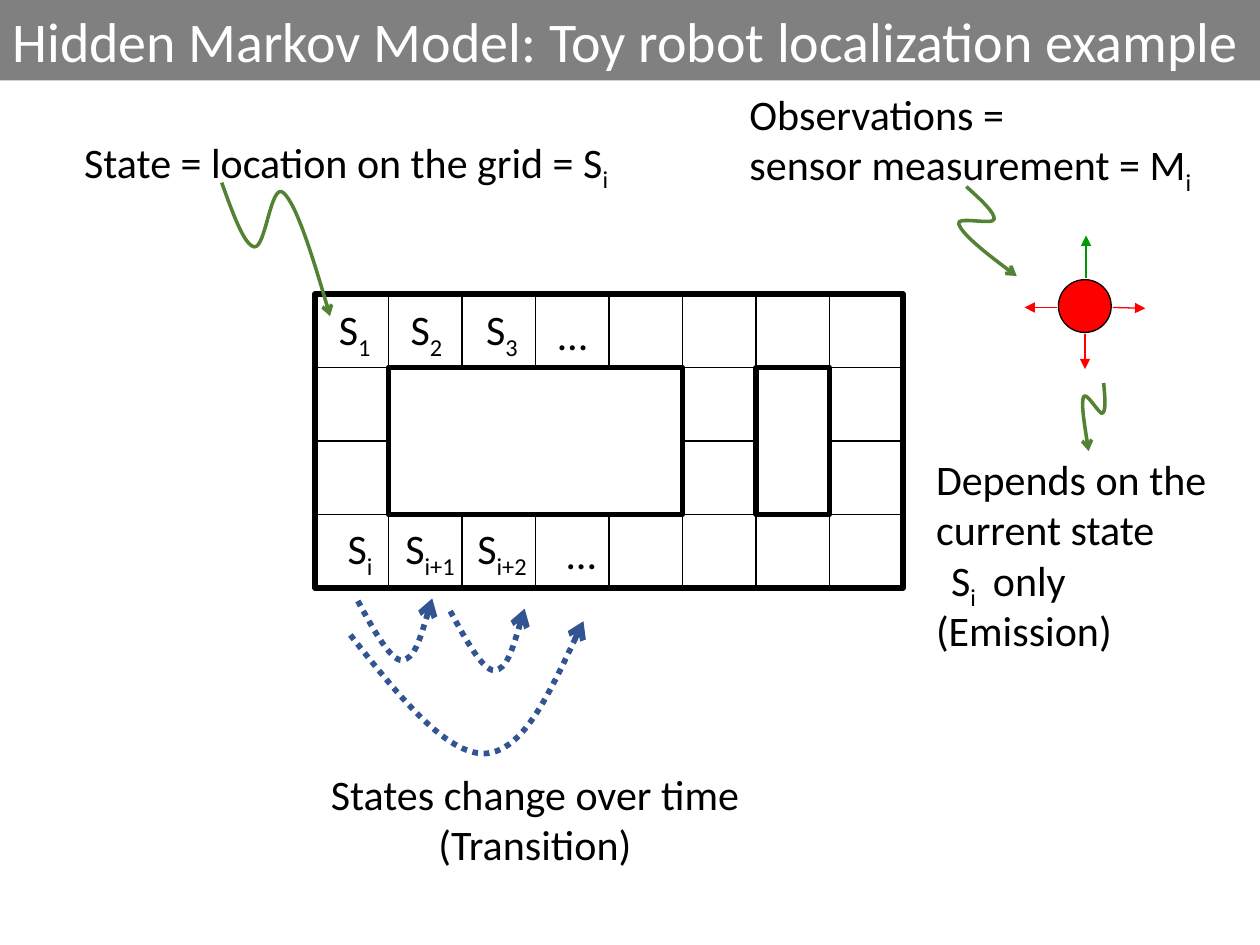
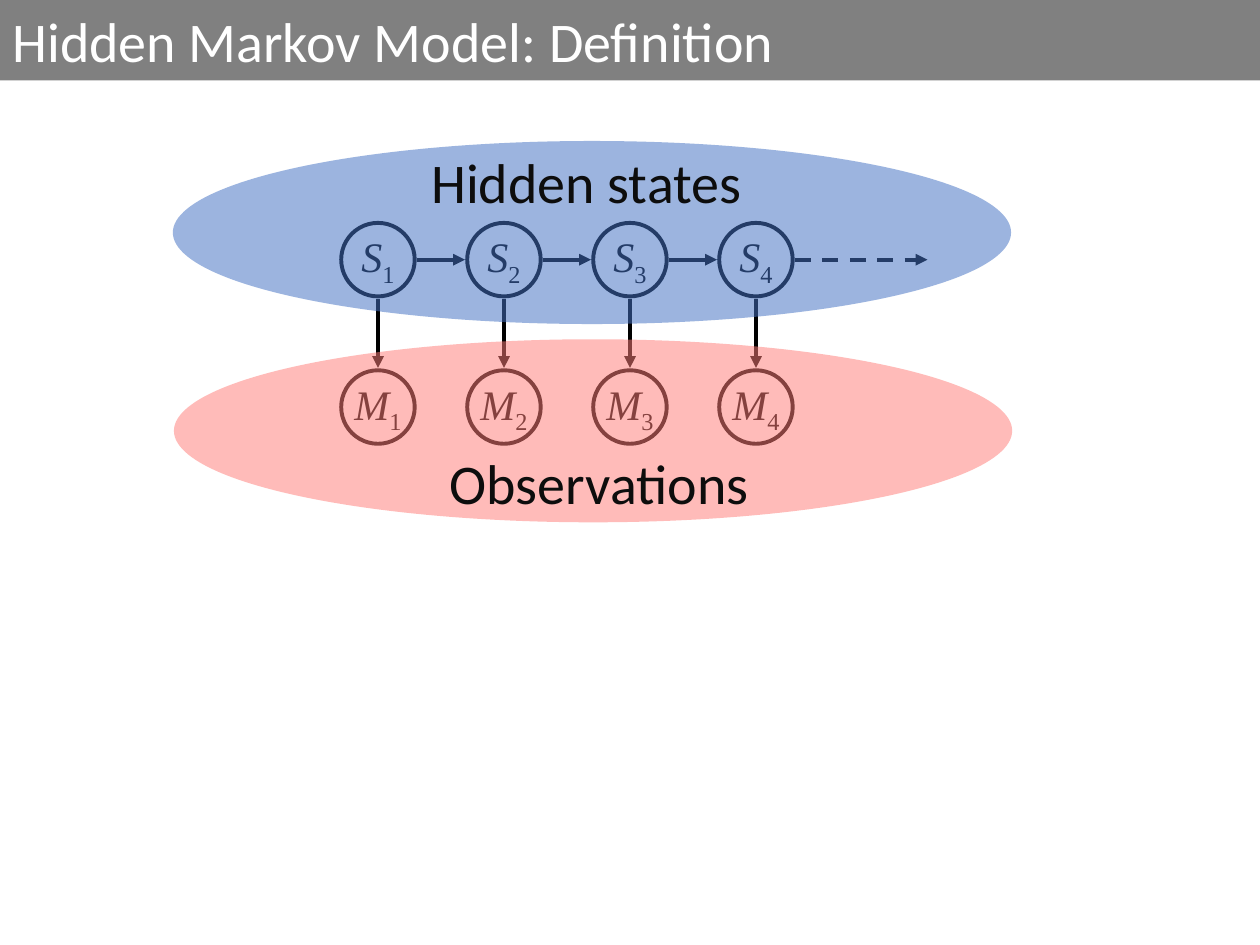
import lxml.etree
import pptx
import pptx.dml.color
import pptx.enum.dml
import pptx.enum.shapes
import pptx.enum.text
import pptx.oxml.ns
import pptx.util

Pt = pptx.util.Pt
qn = pptx.oxml.ns.qn
RGBColor = pptx.dml.color.RGBColor
SHAPE = pptx.enum.shapes.MSO_SHAPE
DASH = pptx.enum.dml.MSO_LINE
ANCHOR = pptx.enum.text.MSO_ANCHOR
CENTER = pptx.enum.text.PP_ALIGN.CENTER
GROW = pptx.enum.text.MSO_AUTO_SIZE.SHAPE_TO_FIT_TEXT

# Shared colours and text formats
BLACK = RGBColor(0, 0, 0)
WHITE = RGBColor(255, 255, 255)
BAND = RGBColor(0x80, 0x80, 0x80)
RED = RGBColor(255, 0, 0)
UP_GREEN = RGBColor(0, 0x99, 0)
NOTE_GREEN = RGBColor(0x54, 0x82, 0x35)
HOP_BLUE = RGBColor(0x32, 0x54, 0x91)
HIDDEN_BLUE = RGBColor(0x44, 0x72, 0xC4)
SEEN_PINK = RGBColor(0xFF, 0x7E, 0x79)
NEAR_BLACK = RGBColor(0x0D, 0x0D, 0x0D)

BODY = {"name": "Calibri", "size": Pt(24)}
HEAD = {"name": "Calibri", "size": Pt(32)}
MATH = {"name": "Times New Roman", "size": Pt(24), "italic": True}


def set_all(obj, fmt):
    for key, value in fmt.items():
        setattr(obj, key, value)


def add_run(p, text, fmt, color, sub=False):
    r = p.add_run()
    r.text = text
    set_all(r.font, fmt)
    r.font.color.rgb = color
    if sub:
        r.font.italic = False
        r.font._element.set("baseline", "-25000")


def write(tf, lines, fmt, color, align=None):
    """Write one paragraph a line; what follows "_" is a subscript."""
    for i, line in enumerate(lines):
        p = tf.paragraphs[0] if i == 0 else tf.add_paragraph()
        p.alignment = align
        base, _, sub = line.partition("_")
        add_run(p, base, fmt, color)
        if sub:
            add_run(p, sub, fmt, color, sub=True)


def add_text(s, box, lines, fmt=BODY, color=BLACK, align=None, wrap=False):
    tf = s.shapes.add_textbox(*map(Pt, box)).text_frame
    set_all(tf, {"word_wrap": wrap, "auto_size": GROW})
    write(tf, lines, fmt, color, align)
    return tf


def add_block(s, kind, box, fill=None, line=None, width=0.75, alpha=None):
    sp = s.shapes.add_shape(kind, *map(Pt, box))
    sp.shadow.inherit = False
    if fill is None:
        sp.fill.background()
    else:
        sp.fill.solid()
        sp.fill.fore_color.rgb = fill
    if alpha:
        clr = sp.element.spPr.find(qn("a:solidFill")).find(qn("a:srgbClr"))
        lxml.etree.SubElement(clr, qn("a:alpha"), val=str(alpha * 1000))
    if line is None:
        sp.line.fill.background()
    else:
        sp.line.color.rgb = line
        sp.line.width = Pt(width)
    return sp


def style_arrow(sp, color, width, head, dash=None):
    sp.line.color.rgb = color
    set_all(sp.line, {"width": Pt(width), "dash_style": dash})
    ln = sp.element.spPr.find(qn("a:ln"))
    lxml.etree.SubElement(ln, qn("a:tailEnd"), type=head)


def add_arrow(s, x1, y1, x2, y2, color=BLACK, width=2.25, dash=None):
    cx = s.shapes.add_connector(pptx.enum.shapes.MSO_CONNECTOR.STRAIGHT,
                                Pt(x1), Pt(y1), Pt(x2), Pt(y2))
    style_arrow(cx, color, width, "triangle", dash)
    lxml.etree.SubElement(cx.element.spPr, qn("a:effectLst"))


def add_curve(s, points, color, width, dash=None):
    """Draw a start point followed by three points for each Bezier part."""
    pts = [(Pt(x), Pt(y)) for x, y in points]
    fb = s.shapes.build_freeform(*pts[0])
    fb.add_line_segments(pts[1:], close=False)
    sp = fb.convert_to_shape()
    sp.shadow.inherit = False
    sp.fill.background()
    style_arrow(sp, color, width, "arrow", dash)
    # Turn each three straight steps into one cubic part
    outline = next(sp.element.iter(qn("a:path")))
    steps = outline.findall(qn("a:lnTo"))
    for i in range(0, len(steps), 3):
        bez = lxml.etree.SubElement(outline, qn("a:cubicBezTo"))
        for step in steps[i:i + 3]:
            bez.append(step[0])
            outline.remove(step)


def add_title(s, text):
    sp = add_block(s, SHAPE.RECTANGLE, (0, 0, 720, 46), BAND)
    tf = sp.text_frame
    set_all(tf, {"word_wrap": True, "auto_size": GROW,
                 "vertical_anchor": ANCHOR.TOP})
    write(tf, [text], HEAD, WHITE, pptx.enum.text.PP_ALIGN.LEFT)


def add_node(s, cx, cy, label):
    sp = add_block(s, SHAPE.OVAL, (cx - 21, cy - 21, 42, 42), WHITE, BLACK, 2.25)
    set_all(sp.text_frame, {"word_wrap": False,
                            "vertical_anchor": ANCHOR.MIDDLE})
    write(sp.text_frame, [label], MATH, BLACK, CENTER)


def add_grid(s):
    left, top, cell = 180, 168, 42

    def area(col, row, cols=1, rows=1):
        return left + col * cell, top + row * cell, cols * cell, rows * cell

    for row in range(4):
        for col in range(8):
            if row in (0, 3) or col in (0, 5, 7):
                add_block(s, SHAPE.RECTANGLE, area(col, row), line=BLACK)
    # Walls: inner block, outer border, narrow block
    for walls, fill in (((1, 1, 4, 2), WHITE), ((0, 0, 8, 4), None),
                        ((6, 1, 1, 2), None)):
        add_block(s, SHAPE.RECTANGLE, area(*walls), fill, BLACK, 3)

    for x, y, w, label in (
            (186.5, 170, 34, "S_1"), (227.5, 170, 34, "S_2"),
            (270.7, 170, 34, "S_3"), (311.8, 172.8, 31.7, "…"),
            (191.5, 295.2, 29.5, "S_i"), (224.6, 295.2, 45.4, "S_i+1"),
            (265.7, 295.2, 45.4, "S_i+2"), (316.8, 298, 31.7, "…")):
        add_text(s, (x, y, w, 36), [label])


def add_robot(s):
    for ends, color in (((620.6, 159, 620.6, 134.6), UP_GREEN),
                        ((620, 190.8, 620, 211), RED),
                        ((635.8, 175.7, 654.5, 176.2), RED),
                        ((604, 175.7, 585.4, 175.7), RED)):
        add_arrow(s, *ends, color, 0.75)
    add_block(s, SHAPE.OVAL, (604.8, 159.8, 30.2, 30.2), RED, BLACK)


def add_pointers(s):
    state = [(126.7, 104.4), (133.2, 122.4), (139.7, 140.4), (145.4, 141.1),
             (151.9, 141.8), (154.8, 103.7), (162, 110.2),
             (169.2, 116.6), (179.3, 148.3), (188.6, 180.7)]
    sensor = [(552.2, 106.6), (560.2, 113.8), (568.8, 121.7), (568.1, 125.3),
              (567.4, 128.9), (545.8, 123.1), (547.9, 128.2),
              (550.1, 133.9), (565.2, 146.2), (581, 157.7)]
    emission = [(630.7, 218.9), (631.4, 226.8), (632.2, 234.7), (630, 236.2),
                (628.6, 237.6), (620.6, 223.2), (619.2, 226.8),
                (617.8, 230.4), (619.9, 244.1), (622.1, 257.8)]
    for points in (state, sensor, emission):
        add_curve(s, points, NOTE_GREEN, 2)


def add_transitions(s):
    hop = [(204.5, 343.4), (213.8, 360.7), (223.2, 377.3), (229.7, 377.3),
           (236.9, 376.6), (241.9, 359.3), (247, 342)]
    next_hop = [(x + 52.8, y + 5.8) for x, y in hop]
    long_hop = [(200.2, 362.9), (227.5, 397.4), (254.9, 431.3),
                (277.2, 430.6), (298.8, 429.1), (316.1, 391.7), (333.4, 355)]
    for points in (hop, long_hop, next_hop):
        add_curve(s, points, HOP_BLUE, 3.25, DASH.ROUND_DOT)


def build_robot_slide(s):
    add_grid(s)
    add_title(s, "Hidden Markov Model: Toy robot localization example")
    add_text(s, (41, 74.2, 316.8, 36), ["State = location on the grid = S_i"])
    add_text(s, (421.2, 46.8, 268.6, 65.5),
             ["Observations =", "sensor measurement = M_i"])
    add_robot(s)
    tf = add_text(s, (527.8, 255.6, 192.2, 123.8),
                  ["Depends on the current state", "only", "(Emission)"],
                  wrap=True)
    # Leave room for the state symbol before "only"
    tf.paragraphs[1]._p.get_or_add_pPr().set("marL", str(Pt(32.5)))
    add_text(s, (536.4, 313.2, 29.5, 36), ["S_i"])
    add_pointers(s)
    add_transitions(s)
    add_text(s, (179.3, 435.6, 252.7, 65.5),
             ["States change over time (Transition)"], align=CENTER, wrap=True)


def build_definition_slide(s):
    state_y, seen_y, gap = 148.4, 232.6, 22.3
    # Chain of states, each with its measurement
    for i in range(1, 5):
        x = 144 + 72 * i
        add_node(s, x, state_y, f"S_{i}")
        add_node(s, x, seen_y, f"M_{i}")
        add_arrow(s, x, state_y + gap, x, seen_y - gap)
        if i < 4:
            add_arrow(s, x + gap, state_y, x + 72 - gap, state_y)
        else:
            add_arrow(s, x + gap, state_y, 530, state_y, dash=DASH.DASH)

    # Translucent group ovals with their names
    for oval, fill, alpha, box, name in (
            ((98.8, 80.6, 479, 104.6), HIDDEN_BLUE, 53,
             (208.8, 80.6, 252.7, 46), "Hidden states"),
            ((99.4, 193.9, 479, 104.6), SEEN_PINK, 52,
             (216, 252.7, 252.7, 46), "Observations")):
        add_block(s, SHAPE.OVAL, oval, fill, alpha=alpha)
        add_text(s, box, [name], HEAD, NEAR_BLACK, CENTER, wrap=True)
    add_title(s, "Hidden Markov Model: Definition")


def main():
    prs = pptx.Presentation()
    set_all(prs, {"slide_width": Pt(720), "slide_height": Pt(540)})
    for build in (build_robot_slide, build_definition_slide):
        build(prs.slides.add_slide(prs.slide_layouts[6]))
    prs.save("out.pptx")


if __name__ == "__main__":
    main()
